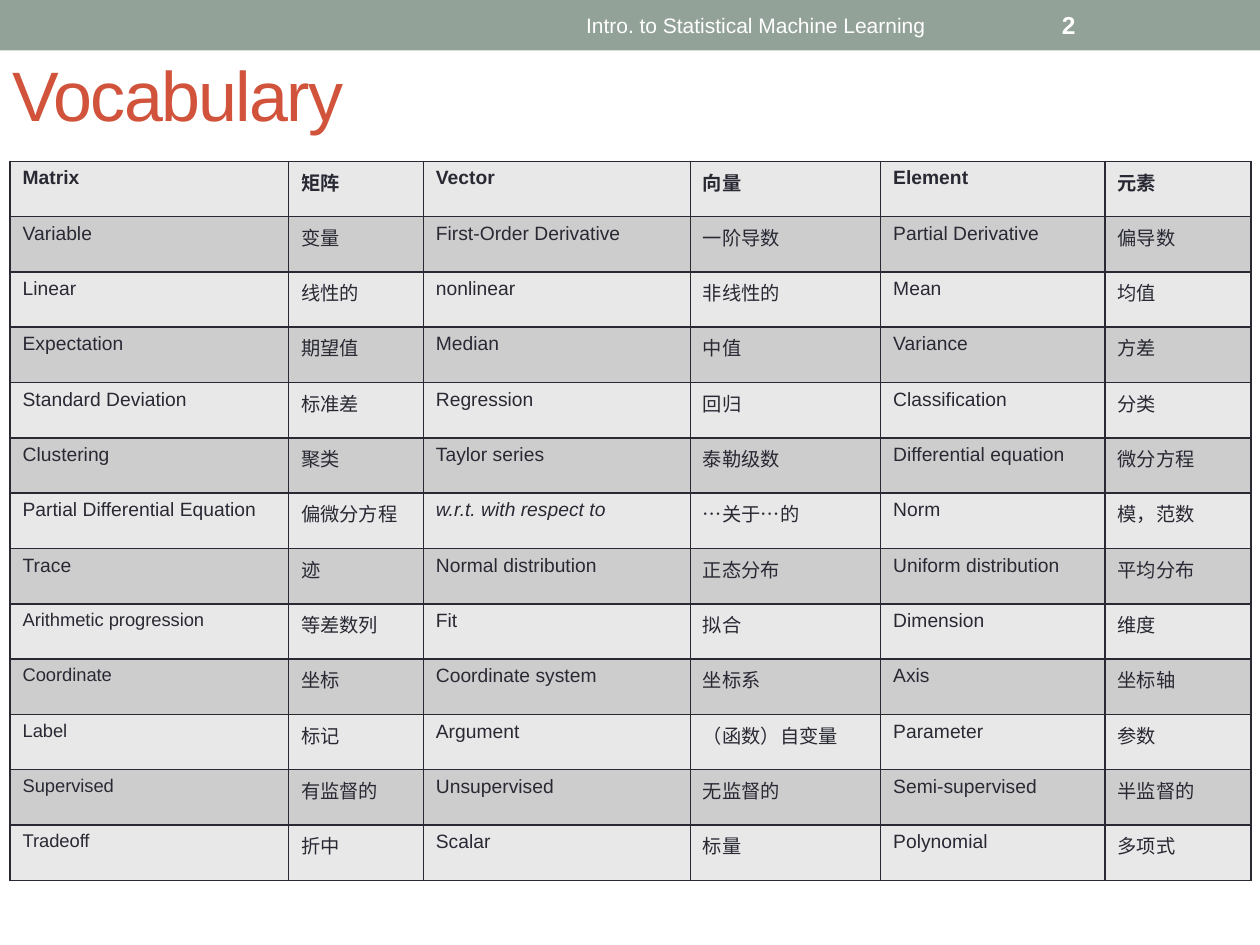
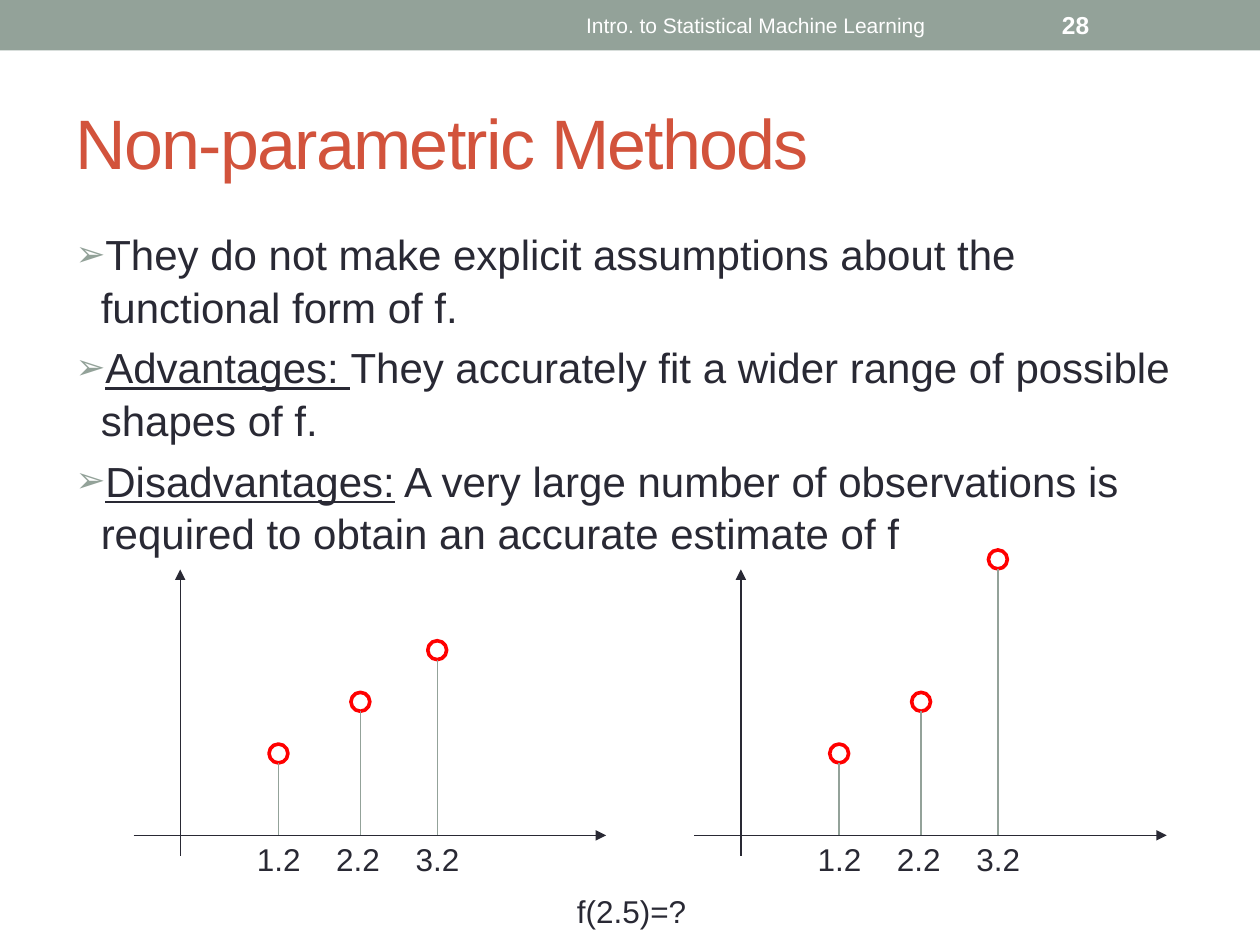
"""Build two slides: a bilingual vocabulary table and notes on non-parametric methods."""
from lxml import etree
from pptx import Presentation, util as u
from pptx.dml.color import RGBColor
from pptx.enum import shapes, text
from pptx.oxml import ns

FONT = "Arial"
WHITE, SAGE, BRICK, INK, RED = "FFFFFF", "93A299", "D2533C", "292934", "FF0000"
ROW_FILLS = ("E8E8E8", "CDCDCE")
COURSE = "Intro. to Statistical Machine Learning"

VOCABULARY = [
    ("Matrix", "矩阵", "Vector", "向量", "Element", "元素"),
    ("Variable", "变量", "First-Order Derivative", "一阶导数", "Partial Derivative", "偏导数"),
    ("Linear", "线性的", "nonlinear", "非线性的", "Mean", "均值"),
    ("Expectation", "期望值", "Median", "中值", "Variance", "方差"),
    ("Standard Deviation", "标准差", "Regression", "回归", "Classification", "分类"),
    ("Clustering", "聚类", "Taylor series", "泰勒级数", "Differential equation", "微分方程"),
    ("Partial Differential Equation", "偏微分方程", "w.r.t. with respect to", "…关于…的",
     "Norm", "模，范数"),
    ("Trace", "迹", "Normal distribution", "正态分布", "Uniform distribution", "平均分布"),
    ("Arithmetic progression", "等差数列", "Fit", "拟合", "Dimension", "维度"),
    ("Coordinate", "坐标", "Coordinate system", "坐标系", "Axis", "坐标轴"),
    ("Label", "标记", "Argument", "（函数）自变量", "Parameter", "参数"),
    ("Supervised", "有监督的", "Unsupervised", "无监督的", "Semi-supervised", "半监督的"),
    ("Tradeoff", "折中", "Scalar", "标量", "Polynomial", "多项式"),
]
COL_WIDTHS = (2.21, 1.07, 2.12, 1.51, 1.78, 1.16)
TABLE_LEFT, TABLE_TOP, TABLE_HEIGHT = 0.08, 1.28, 5.71
SMALL_FROM_ROW = 8

POINTS = [
    ("", "They do not make explicit assumptions about the functional form of f."),
    ("Advantages: ", "They accurately fit a wider range of possible shapes of f."),
    ("Disadvantages:",
     " A very large number of observations is required to obtain an accurate estimate of f"),
]
QUESTION = "f(2.5)=?"

TICKS = ("1.2", "2.2", "3.2")
STEM_XS = (1.15, 1.8, 2.41)
PLOTS = [(1.06, (5.98, 5.57, 5.16)), (5.51, (5.98, 5.57, 4.44))]
AXIS_Y, AXIS_LENGTH, AXIS_X = 6.63, 3.75, 0.37
Y_BOTTOM, Y_TOP = 6.79, 4.52
DOT = 0.15
TICK_LEFT, TICK_STEP = 0.88, 0.63


def color(value):
    return RGBColor.from_string(value)


def inches(*values):
    return [u.Inches(v) for v in values]


def add_xml(parent, tag, **attrs):
    return etree.SubElement(parent, ns.qn(tag), attrs)


def add_run(p, words, size, fill=INK, **fmt):
    r = p.add_run()
    r.text = words
    r.font.color.rgb = color(fill)
    for name, value in dict(name=FONT, size=u.Pt(size), **fmt).items():
        setattr(r.font, name, value)
    return r


def add_label(s, box, words, size, fill=INK, wrap=False, anchor="TOP", align="LEFT", **fmt):
    tf = s.shapes.add_textbox(*inches(*box)).text_frame
    tf.word_wrap = wrap
    tf.vertical_anchor = getattr(text.MSO_ANCHOR, anchor)
    p = tf.paragraphs[0]
    p.alignment = getattr(text.PP_ALIGN, align)
    add_run(p, words, size, fill, **fmt)


def place(sp, box):
    sp.left, sp.top, sp.width, sp.height = inches(*box)


def add_slide(prs, layout, title, left, top, number):
    s = prs.slides.add_slide(prs.slide_layouts[layout])
    band = s.shapes.add_shape(shapes.MSO_SHAPE.RECTANGLE, *inches(0, 0, 10, 0.4))
    band.shadow.inherit = False
    band.fill.solid()
    band.fill.fore_color.rgb = color(SAGE)
    band.line.fill.background()

    place(s.shapes.title, (left, top, 9, 1.08))
    tf = s.shapes.title.text_frame
    tf.auto_size = text.MSO_AUTO_SIZE.NONE
    tf.vertical_anchor = text.MSO_ANCHOR.MIDDLE
    p = tf.paragraphs[0]
    p.alignment = text.PP_ALIGN.LEFT
    r = add_run(p, title, 40, BRICK)
    r._r.get_or_add_rPr().set("spc", "-100")

    footer = dict(fill=WHITE, wrap=True, anchor="MIDDLE")
    add_label(s, (3.75, 0.02, 4.5, 0.36), COURSE, 12, align="CENTER", **footer)
    add_label(s, (8.33, 0.02, 1.17, 0.36), str(number), 14, bold=True, **footer)
    return s


def add_borders(cell):
    tcPr = cell._tc.get_or_add_tcPr()
    for side in "LRTB":
        ln = add_xml(tcPr, f"a:ln{side}", w=str(u.Pt(1)))
        add_xml(add_xml(ln, "a:solidFill"), "a:srgbClr", val=INK)


def add_vocabulary(s):
    box = inches(TABLE_LEFT, TABLE_TOP, sum(COL_WIDTHS), TABLE_HEIGHT)
    table = s.shapes.add_table(len(VOCABULARY), len(COL_WIDTHS), *box).table
    table.first_row = table.horz_banding = False
    for column, width in zip(table.columns, COL_WIDTHS):
        column.width = u.Inches(width)
    for i, terms in enumerate(VOCABULARY):
        for j, term in enumerate(terms):
            cell = table.cell(i, j)
            add_borders(cell)
            cell.fill.solid()
            cell.fill.fore_color.rgb = color(ROW_FILLS[i % 2])
            size = 10.5 if j == 0 and i >= SMALL_FROM_ROW else 11
            add_run(cell.text_frame.paragraphs[0], term, size,
                    bold=i == 0, italic=term.startswith("w.r.t."))


def add_bullet(p):
    pPr = p._p.get_or_add_pPr()
    indent = u.Inches(0.2)
    pPr.set("marL", str(indent))
    pPr.set("indent", str(-indent))
    add_xml(add_xml(pPr, "a:buClr"), "a:srgbClr", val=SAGE)
    add_xml(pPr, "a:buSzPct", val="85000")
    add_xml(pPr, "a:buFont", typeface=FONT)
    add_xml(pPr, "a:buChar", char="➢")


def add_points(s):
    body = s.placeholders[1]
    place(body, (0.5, 1.75, 9, 3.02))
    tf = body.text_frame
    tf.auto_size = text.MSO_AUTO_SIZE.NONE
    for i, (lead, rest) in enumerate(POINTS):
        p = tf.add_paragraph() if i else tf.paragraphs[0]
        p.line_spacing = 1.04
        add_bullet(p)
        if lead:
            add_run(p, lead, 24, underline=True)
        add_run(p, rest, 24)


def add_line(s, start, end, stroke, arrow=False):
    line = s.shapes.add_connector(shapes.MSO_CONNECTOR.STRAIGHT, *inches(*start, *end))
    line.line.color.rgb = color(stroke)
    line.line.width = u.Pt(0.75)
    if arrow:
        add_xml(line.line._get_or_add_ln(), "a:tailEnd", type="triangle")
    add_xml(line._element.spPr, "a:effectLst")


def add_plot(s, left, heights):
    add_line(s, (left, AXIS_Y), (left + AXIS_LENGTH, AXIS_Y), INK, arrow=True)
    add_line(s, (left + AXIS_X, Y_BOTTOM), (left + AXIS_X, Y_TOP), INK, arrow=True)
    for i, (tick, dx, y) in enumerate(zip(TICKS, STEM_XS, heights)):
        x = left + dx
        dot = s.shapes.add_shape(shapes.MSO_SHAPE.OVAL,
                                 *inches(x - DOT / 2, y - DOT / 2, DOT, DOT))
        dot.shadow.inherit = False
        dot.fill.background()
        dot.line.color.rgb = color(RED)
        dot.line.width = u.Pt(2.08)
        add_line(s, (x, y + DOT / 2), (x, AXIS_Y), SAGE)
        add_label(s, (left + TICK_LEFT + i * TICK_STEP, 6.62, 0.55, 0.4), tick, 18)


def main():
    prs = Presentation()
    prs.slide_width, prs.slide_height = inches(10, 7.5)

    add_vocabulary(add_slide(prs, 5, "Vocabulary", 0, 0.2, 2))

    s = add_slide(prs, 1, "Non-parametric Methods", 0.5, 0.58, 28)
    add_points(s)
    for left, heights in PLOTS:
        add_plot(s, left, heights)
    add_label(s, (4.48, 7.03, 1.08, 0.4), QUESTION, 18)

    prs.save("out.pptx")


if __name__ == "__main__":
    main()
